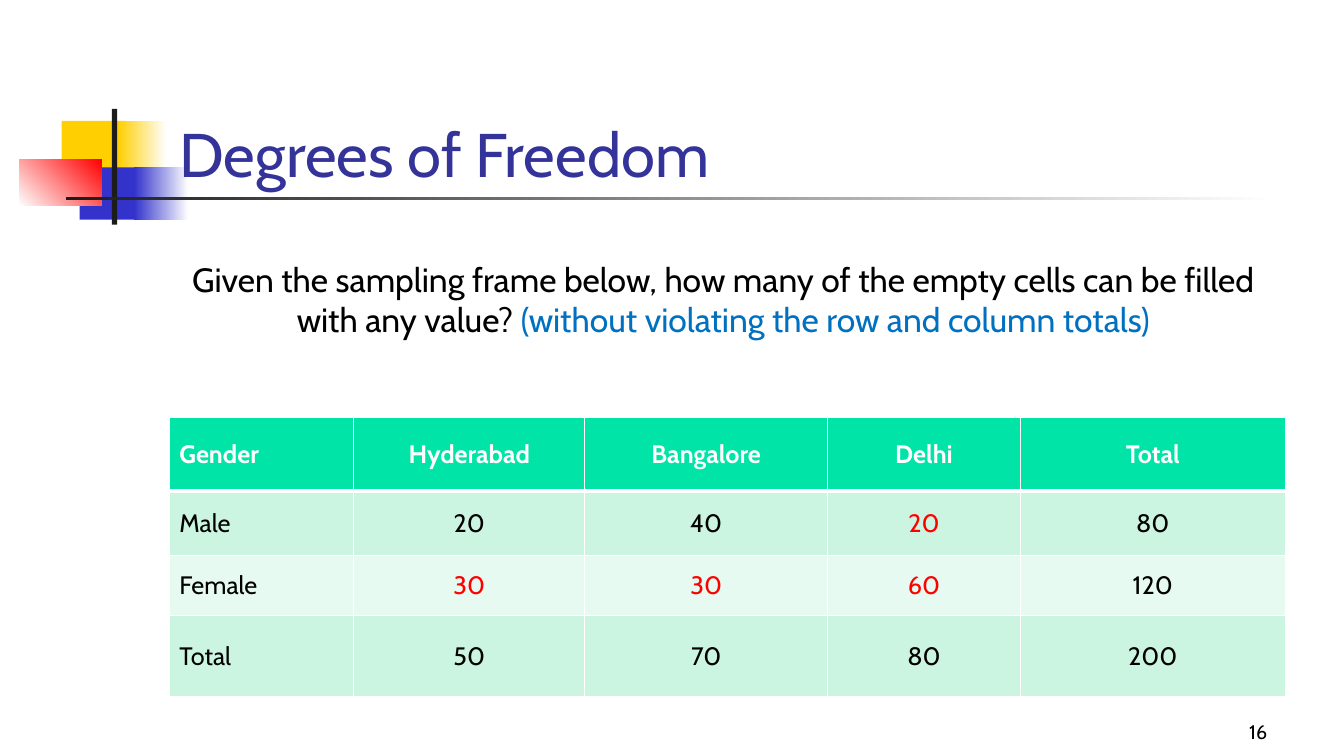
from dataclasses import dataclass

from lxml.etree import SubElement
from pptx import Presentation
from pptx.dml.color import RGBColor as Rgb
from pptx.enum.shapes import MSO_SHAPE as Kind
from pptx.enum.text import MSO_ANCHOR as Anchor, MSO_AUTO_SIZE as Fit, PP_ALIGN as Align
from pptx.oxml.ns import qn
from pptx.util import Inches, Pt


@dataclass(frozen=True)
class Theme:
    font: str = "Cabin"
    title: int = 44
    lead: int = 24
    cell: int = 18
    note: int = 14
    white: str = "FFFFFF"
    black: str = "000000"
    dark: str = "1C1C1C"
    navy: str = "333399"
    gold: str = "FFCF01"
    blue: str = "3333CC"
    red: str = "FF0000"
    sky: str = "0070C0"
    head: str = "00E4A8"
    bands: tuple = ("CCF5E1", "E7FAF1")


class Page:
    """One slide; every box is left, top, width, height in percent of the slide."""

    def __init__(self, deck, theme):
        self.deck, self.theme = deck, theme
        self.slide = deck.slides.add_slide(deck.slide_layouts[5])
        self.shapes = self.slide.shapes

    def wide(self, share):
        return round(self.deck.slide_width * share / 100)

    def high(self, share):
        return round(self.deck.slide_height * share / 100)

    def box(self, left, top, width, height):
        return self.wide(left), self.high(top), self.wide(width), self.high(height)

    def add_runs(self, frame, runs, size, align=Align.LEFT, bold=False):
        """Add (text, colour) runs to the first paragraph."""
        para = frame.paragraphs[0]
        para.alignment = align
        for text, color in runs:
            run = para.add_run()
            run.text = text
            font = run.font
            font.name, font.size, font.bold = self.theme.font, Pt(size), bold
            font.color.rgb = Rgb.from_string(color)

    def title(self, area, text):
        """Fill the title placeholder and bring it to the front."""
        item = self.shapes.title
        item.left, item.top, item.width, item.height = self.box(*area)
        frame = item.text_frame
        frame.word_wrap, frame.auto_size = True, Fit.NONE
        frame.vertical_anchor = Anchor.BOTTOM
        self.add_runs(frame, [(text, self.theme.navy)], self.theme.title)
        item.element.getparent().append(item.element)

    def block(self, area, start, end=None, angle=0):
        """Draw a plain rectangle, or one that fades from start to end."""
        item = self.shapes.add_shape(Kind.RECTANGLE, *self.box(*area))
        item.shadow.inherit = False
        item.line.fill.background()
        if end is None:
            item.fill.solid()
            item.fill.fore_color.rgb = Rgb.from_string(start)
            return
        item.fill.gradient()
        item.fill.gradient_angle = angle
        for stop, color in zip(item.fill.gradient_stops, (start, end)):
            stop.color.rgb = Rgb.from_string(color)

    def text(self, area, runs, size, align, anchor=Anchor.TOP):
        frame = self.shapes.add_textbox(*self.box(*area)).text_frame
        frame.word_wrap = True
        frame.vertical_anchor = anchor
        self.add_runs(frame, runs, size, align)

    def edge(self, cell, top, bottom):
        """Give a cell white borders; top and bottom are in points."""
        props = cell._tc.get_or_add_tcPr()
        for tag, width in (("lnL", 1), ("lnR", 1), ("lnT", top), ("lnB", bottom)):
            line = SubElement(props, qn(f"a:{tag}"), w=str(Pt(width)))
            fill = SubElement(line, qn("a:solidFill"))
            SubElement(fill, qn("a:srgbClr"), val=self.theme.white)

    def table(self, left, top, cols, rows, data, marks):
        """Draw a banded table; marks holds the (row, column) pairs set in red."""
        look = self.theme
        area = self.box(left, top, sum(cols), sum(rows))
        grid = self.shapes.add_table(len(rows), len(cols), *area).table
        for col, share in zip(grid.columns, cols):
            col.width = self.wide(share)
        for row, share in zip(grid.rows, rows):
            row.height = self.high(share)
        for r, line in enumerate(data):
            for c, text in enumerate(line):
                cell = grid.cell(r, c)
                self.edge(cell, 3 if r == 1 else 1, 3 if r == 0 else 1)
                cell.fill.solid()
                shade = look.bands[(r - 1) % 2] if r else look.head
                cell.fill.fore_color.rgb = Rgb.from_string(shade)
                cell.vertical_anchor = Anchor.MIDDLE
                ink = look.red if (r, c) in marks else look.black if r else look.white
                align = Align.CENTER if c else Align.LEFT
                self.add_runs(cell.text_frame, [(text, ink)], look.cell, align, r == 0)


def main():
    deck = Presentation()
    deck.slide_width, deck.slide_height = Inches(13.33), Inches(7.5)
    look = Theme()
    page = Page(deck, look)
    left = 12.6

    for color, top, solid, fade in (
        (look.gold, 16, (4.58, 4.8), (8.78, 3.6)),
        (look.blue, 22.13, (5.93, 4.65), (9.98, 4.05)),
    ):
        page.block((solid[0], top, solid[1], 6.93), color)
        page.block((fade[0], top, fade[1], 6.93), color, look.white)
    page.block((1.43, 21.07, 6.15, 6.13), look.white, look.red, 45)
    page.block((8.33, 14.4, 0.38, 15.33), look.dark)
    page.block((4.88, 26, 90, 0.45), look.dark, look.white)

    page.title((left, 9.07, 85.2, 16.67), "Degrees of Freedom")
    page.table(
        left, 55.2,
        cols=(13.73, 17.18, 18.08, 14.33, 19.73),
        rows=(9.73, 8.53, 8, 10.67),
        data=(
            ("Gender", "Hyderabad", "Bangalore", "Delhi", "Total"),
            ("Male", "20", "40", "20", "80"),
            ("Female", "30", "30", "60", "120"),
            ("Total", "50", "70", "80", "200"),
        ),
        marks={(1, 3), (2, 1), (2, 2), (2, 3)},
    )
    page.text((74.18, 92.27, 20.85, 6.67), [("16", look.black)],
              look.note, Align.RIGHT, Anchor.BOTTOM)
    ask = ("Given the sampling frame below, how many of the empty cells "
           "can be filled with any value? ")
    hint = "(without violating the row and column totals)"
    page.text((left, 33.6, 82.43, 12.13), [(ask, look.black), (hint, look.sky)],
              look.lead, Align.CENTER)
    deck.save("out.pptx")


if __name__ == "__main__":
    main()
